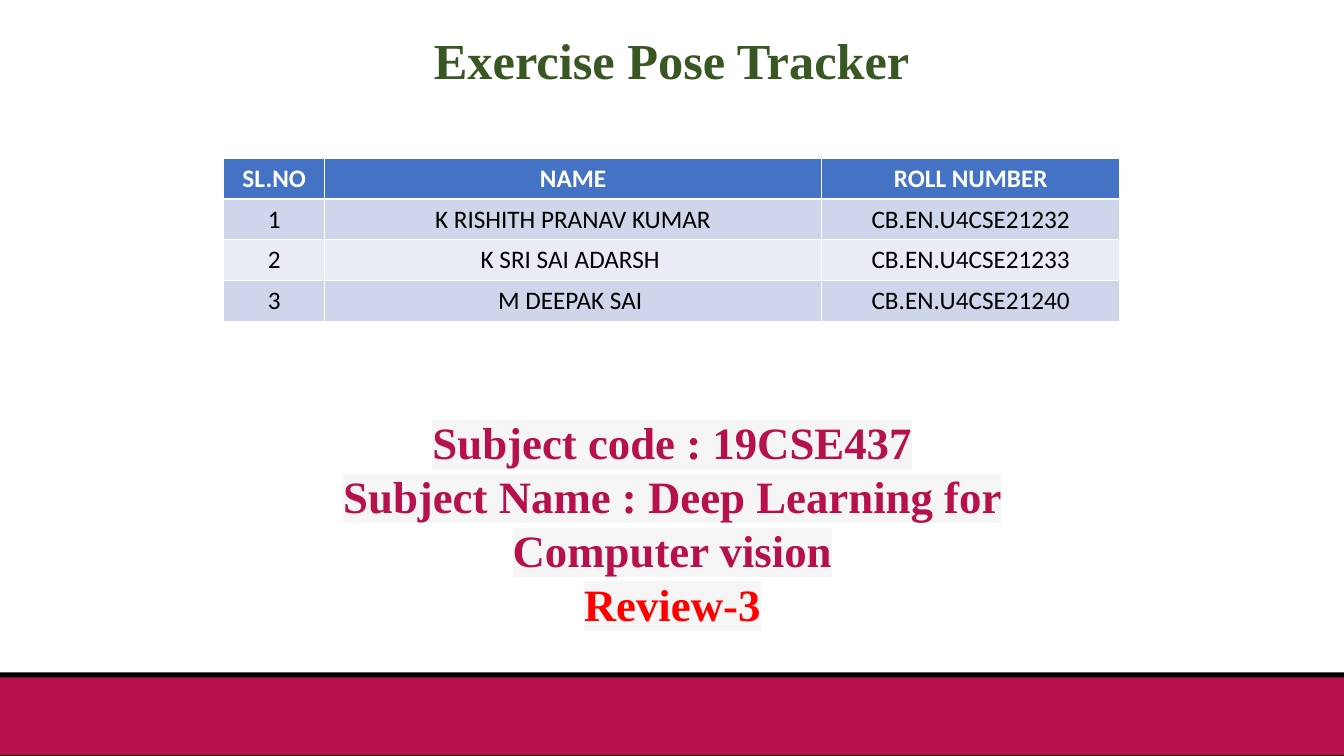
from lxml.etree import SubElement
from pptx import Presentation
from pptx.dml.color import RGBColor
from pptx.enum.shapes import MSO_SHAPE
from pptx.enum.text import MSO_ANCHOR, MSO_AUTO_SIZE, PP_ALIGN
from pptx.oxml.ns import qn
from pptx.util import Inches, Pt

WIDTH, HEIGHT = Inches(13.333), Inches(7.5)
SERIF, SANS = "Times New Roman", "Calibri"
CRIMSON, BLACK, WHITE, RED = "B6114D", "000000", "FFFFFF", "FF0000"
GREEN, HEADER_BLUE, HIGHLIGHT = "385723", "4472C4", "F5F5F5"
ROW_BANDS = ("CFD5EA", "E9EBF5")

MEMBERS = [
    ("SL.NO", "NAME", "ROLL NUMBER"),
    ("1", "K RISHITH PRANAV KUMAR", "CB.EN.U4CSE21232"),
    ("2", "K SRI SAI ADARSH ", "CB.EN.U4CSE21233"),
    ("3", "M DEEPAK SAI ", "CB.EN.U4CSE21240"),
]
COLUMN_WIDTHS = (1, 4.93, 2.96)
ROW_HEIGHT = 0.405
SUBJECT_LINES = [
    ("Subject code : 19CSE437", CRIMSON),
    ("Subject Name : Deep Learning for Computer vision", CRIMSON),
    ("Review-3", RED),
]


def paint(color_format, hex_color):
    color_format.rgb = RGBColor.from_string(hex_color)


def fill_with(filled, hex_color):
    filled.fill.solid()
    paint(filled.fill.fore_color, hex_color)


def add_centred_run(paragraph, text, size, font, color, bold=True, highlight=None):
    paragraph.alignment = PP_ALIGN.CENTER
    run = paragraph.add_run()
    run.text = text
    run.font.size, run.font.bold = Pt(size), bold
    paint(run.font.color, color)
    if highlight:
        marker = SubElement(run.font.fill._xPr, qn("a:highlight"))
        SubElement(marker, qn("a:srgbClr")).set("val", highlight)
    run.font.name = font


def add_band(slide, top, height, color):
    band = slide.shapes.add_shape(
        MSO_SHAPE.RECTANGLE, 0, Inches(top), WIDTH, Inches(height))
    band.shadow.inherit = False
    fill_with(band, color)
    band.line.fill.background()


def set_title(slide, text):
    title = slide.shapes.title
    title.left, title.top = Inches(0.12), 0
    title.width, title.height = Inches(13.09), Inches(0.94)
    frame = title.text_frame
    frame.vertical_anchor = MSO_ANCHOR.BOTTOM
    frame.auto_size = MSO_AUTO_SIZE.NONE
    frame.paragraphs[0].line_spacing = 1.5
    add_centred_run(frame.paragraphs[0], text, 36, SERIF, GREEN)


def add_members_table(slide):
    table = slide.shapes.add_table(
        len(MEMBERS), len(COLUMN_WIDTHS), Inches(2.22), Inches(1.57),
        Inches(sum(COLUMN_WIDTHS)), Inches(ROW_HEIGHT * len(MEMBERS))).table
    for column, width in zip(table.columns, COLUMN_WIDTHS):
        column.width = Inches(width)
    for row_index, member in enumerate(MEMBERS):
        is_header = row_index == 0
        background = HEADER_BLUE if is_header else ROW_BANDS[(row_index - 1) % 2]
        for column_index, text in enumerate(member):
            cell = table.cell(row_index, column_index)
            fill_with(cell, background)
            add_centred_run(cell.text_frame.paragraphs[0], text, 18, SANS,
                            WHITE if is_header else BLACK, bold=is_header)


def add_subject(slide):
    subject = slide.shapes.add_textbox(
        Inches(2.63), Inches(4.07), Inches(8.08), Inches(2.26))
    frame = subject.text_frame
    frame.word_wrap = True
    frame.auto_size = MSO_AUTO_SIZE.SHAPE_TO_FIT_TEXT
    for index, (text, color) in enumerate(SUBJECT_LINES):
        paragraph = frame.add_paragraph() if index else frame.paragraphs[0]
        add_centred_run(paragraph, text, 32, SERIF, color, highlight=HIGHLIGHT)


def main():
    deck = Presentation()
    deck.slide_width, deck.slide_height = WIDTH, HEIGHT
    slide = deck.slides.add_slide(deck.slide_layouts.get_by_name("Title Only"))
    fill_with(slide.background, WHITE)

    # Footer: crimson band edged in black
    add_band(slide, 6.67, 0.83, BLACK)
    add_band(slide, 6.72, 0.77, CRIMSON)

    # Project, team and subject
    set_title(slide, "Exercise Pose Tracker")
    add_subject(slide)
    add_members_table(slide)
    deck.save("out.pptx")


if __name__ == "__main__":
    main()
